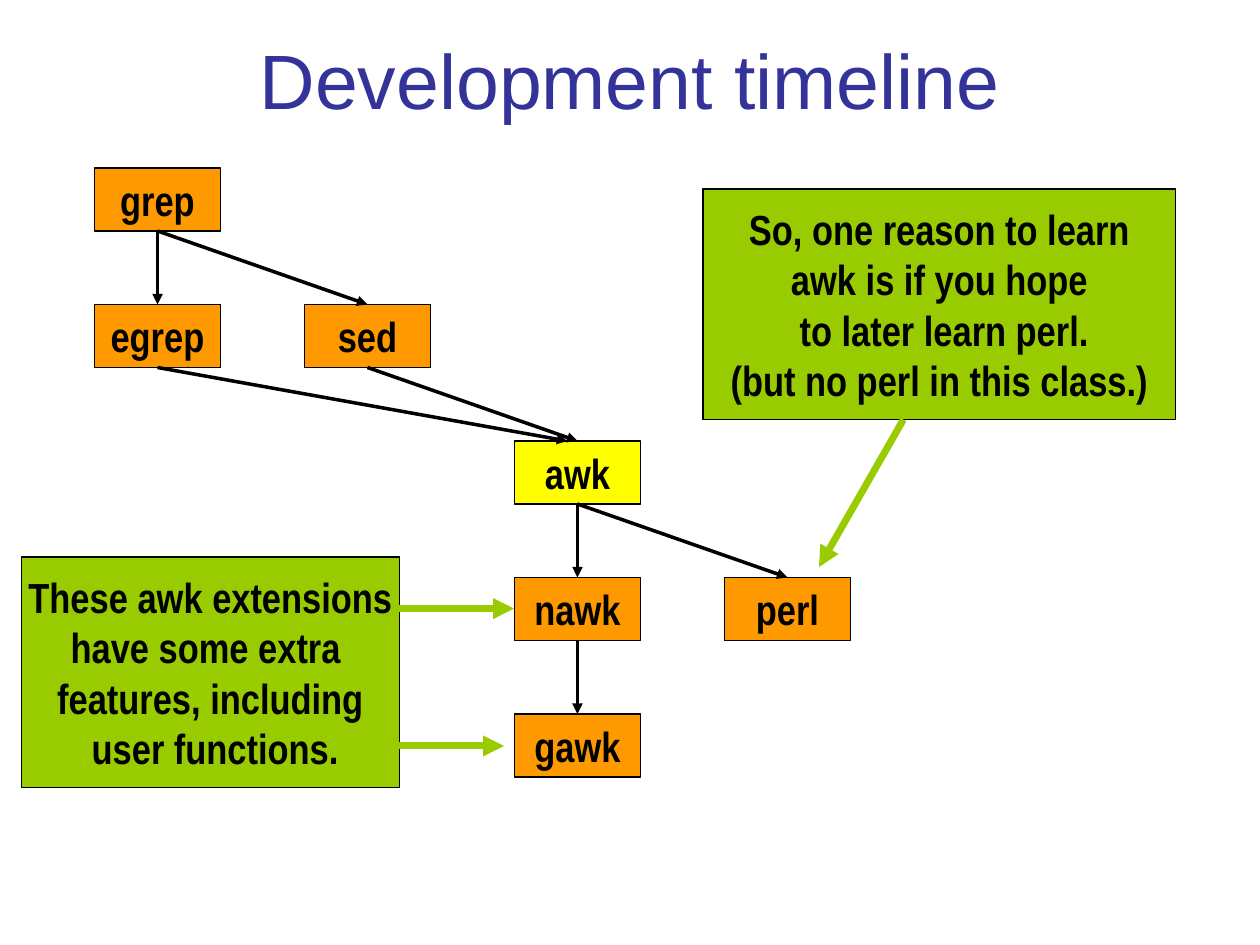
from dataclasses import dataclass

from lxml import etree
from pptx import Presentation
from pptx.dml.color import RGBColor
from pptx.enum.shapes import MSO_CONNECTOR, MSO_SHAPE
from pptx.enum.text import MSO_ANCHOR, MSO_AUTO_SIZE, PP_ALIGN
from pptx.oxml.ns import qn
from pptx.slide import Slide
from pptx.util import Inches, Pt

RECTANGLE = MSO_SHAPE.RECTANGLE
STRAIGHT = MSO_CONNECTOR.STRAIGHT
MIDDLE = MSO_ANCHOR.MIDDLE
CENTER = PP_ALIGN.CENTER
NO_AUTOFIT = MSO_AUTO_SIZE.NONE

BLACK = RGBColor(0x00, 0x00, 0x00)
BLUE = RGBColor(0x33, 0x33, 0x99)
ORANGE = RGBColor(0xFF, 0x99, 0x00)
YELLOW = RGBColor(0xFF, 0xFF, 0x00)
GREEN = RGBColor(0x99, 0xCC, 0x00)

TOOL_WIDTH, TOOL_HEIGHT = 1, 0.5
FIRST_LEFT, COLUMN_STEP = 0.75, 5 / 3
FIRST_TOP, ROW_STEP = 4 / 3, 13 / 12


@dataclass(frozen=True)
class Box:
    """A filled rectangle with centred lines of text, in inches."""
    left: float
    top: float
    width: float
    height: float
    fill: RGBColor
    lines: tuple[str, ...]


@dataclass(frozen=True)
class Arrow:
    """A straight arrow between two points, in inches."""
    start: tuple[float, float]
    end: tuple[float, float]
    color: RGBColor = BLACK
    weight: float = 2


def tool(name: str, column: int, row: int, fill: RGBColor = ORANGE) -> Box:
    """Place a tool on the timeline grid."""
    return Box(FIRST_LEFT + column * COLUMN_STEP, FIRST_TOP + row * ROW_STEP,
               TOOL_WIDTH, TOOL_HEIGHT, fill, (name,))


def descent(parent: Box, child: Box, shift: float = 0) -> Arrow:
    """Lead from the foot of one tool to the head of the next."""
    return Arrow((parent.left + parent.width / 2, parent.top + parent.height),
                 (child.left + child.width / 2 + shift, child.top))


def add_box(slide: Slide, box: Box) -> None:
    """Draw a box and its text."""
    shape = slide.shapes.add_shape(RECTANGLE, Inches(box.left), Inches(box.top),
                                   Inches(box.width), Inches(box.height))
    shape.shadow.inherit = False
    shape.fill.solid()
    shape.fill.fore_color.rgb = box.fill
    shape.line.color.rgb = BLACK
    shape.line.width = Pt(0.75)
    frame = shape.text_frame
    frame.word_wrap = False
    frame.vertical_anchor = MIDDLE
    for index, line in enumerate(box.lines):
        para = frame.add_paragraph() if index else frame.paragraphs[0]
        para.alignment = CENTER
        span = para.add_run()
        span.text = line
        span.font.name = "Arial Narrow"
        span.font.size = Pt(24)
        span.font.bold = True
        span.font.color.rgb = BLACK


def add_arrow(slide: Slide, arrow: Arrow) -> None:
    """Draw a line with a triangular head at its end."""
    points = [Inches(value) for value in arrow.start + arrow.end]
    connector = slide.shapes.add_connector(STRAIGHT, *points)
    connector.line.color.rgb = arrow.color
    connector.line.width = Pt(arrow.weight)
    etree.SubElement(connector.line._get_or_add_ln(), qn("a:tailEnd"), type="triangle")
    etree.SubElement(connector._element.spPr, qn("a:effectLst"))


def add_title(slide: Slide, text: str) -> None:
    """Place and format the title placeholder."""
    title = slide.shapes.title
    title.left, title.top = Inches(0.5), Inches(0)
    title.width, title.height = Inches(9), Inches(1.25)
    frame = title.text_frame
    frame.auto_size = NO_AUTOFIT
    frame.vertical_anchor = MIDDLE
    para = frame.paragraphs[0]
    para.alignment = CENTER
    span = para.add_run()
    span.text = text
    span.font.name = "Arial"
    span.font.size = Pt(44)
    span.font.color.rgb = BLUE


grep = tool("grep", 0, 0)
egrep = tool("egrep", 0, 1)
sed = tool("sed", 1, 1)
awk = tool("awk", 2, 2, YELLOW)
nawk = tool("nawk", 2, 3)
gawk = tool("gawk", 2, 4)
perl = tool("perl", 3, 3)
perl_note = Box(5.58, 1.5, 3.75, 1.83, GREEN, (
    "So, one reason to learn", "awk is if you hope",
    " to later learn perl.", "(but no perl in this class.)"))
extension_note = Box(0.17, 4.42, 3, 1.83, GREEN, (
    "These awk extensions", "have some extra ",
    "features, including", " user functions."))

BOXES = (grep, egrep, sed, awk, nawk, gawk, perl, perl_note, extension_note)
ARROWS = (
    descent(grep, egrep),
    descent(grep, sed),
    descent(sed, awk),
    descent(egrep, awk, shift=-0.08),
    descent(awk, nawk),
    descent(nawk, gawk),
    descent(awk, perl),
    Arrow((7.17, 3.33), (6.5, 4.5), GREEN, 4),
    Arrow((3.17, 5.92), (4, 5.92), GREEN, 4),
    Arrow((3.17, 4.83), (4.08, 4.83), GREEN, 4),
)

deck = Presentation()
deck.slide_width, deck.slide_height = Inches(10), Inches(7.5)
page = deck.slides.add_slide(deck.slide_layouts[5])
add_title(page, "Development timeline")
for item in BOXES:
    add_box(page, item)
for item in ARROWS:
    add_arrow(page, item)
deck.save("out.pptx")
